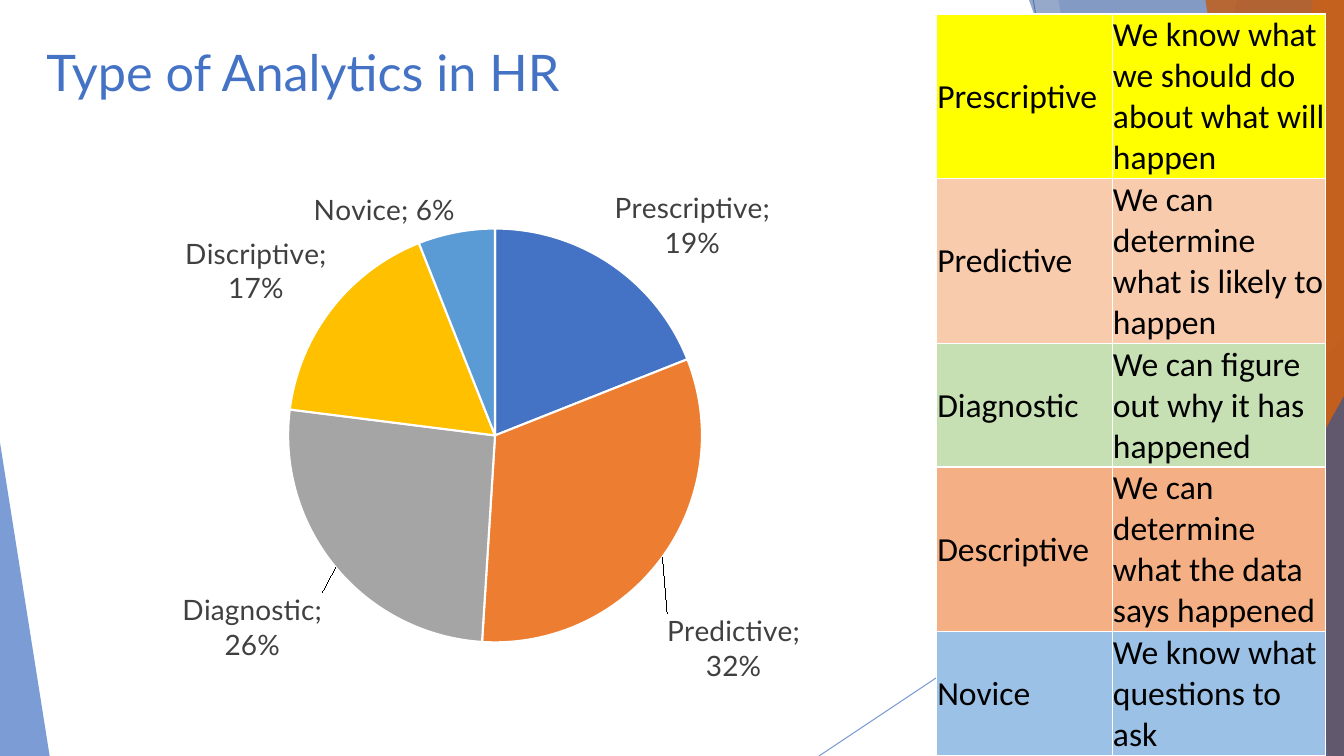
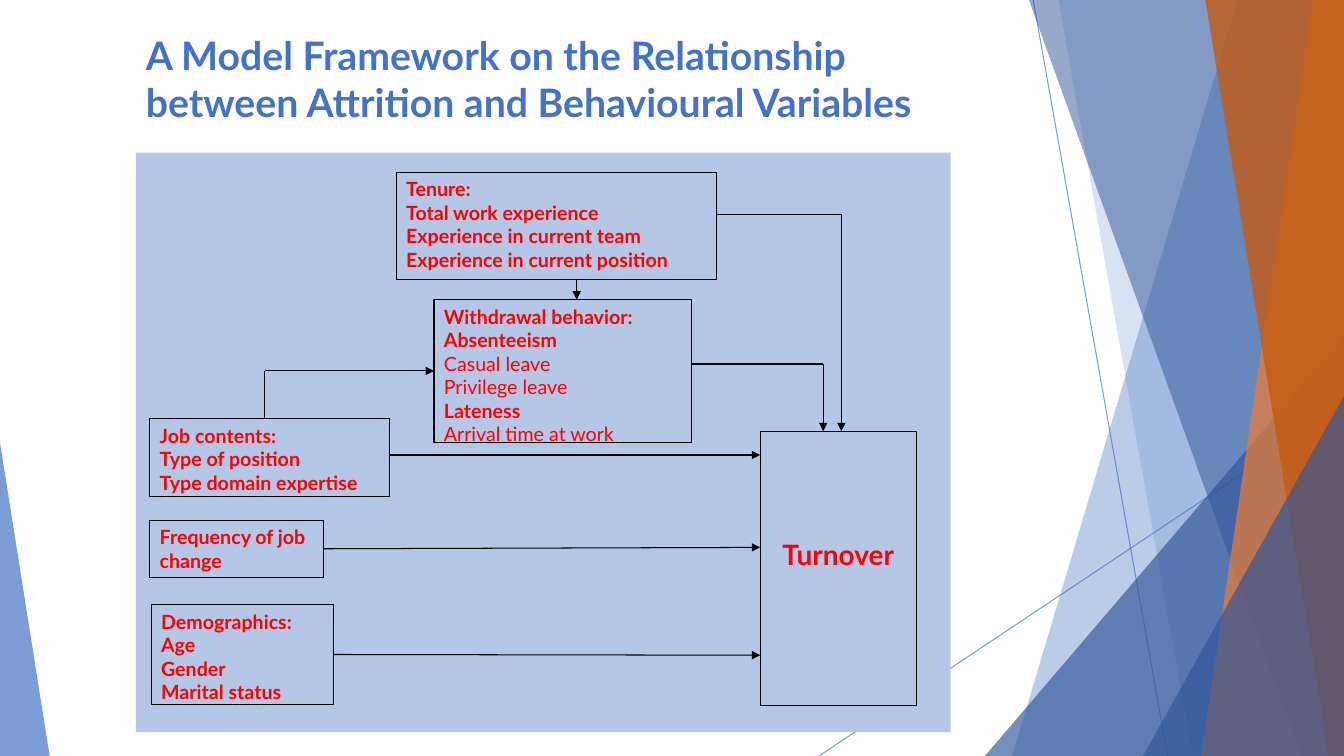
from dataclasses import dataclass
from typing import Optional, Union

import pptx
import pptx.chart.data
import pptx.dml.color
import pptx.enum.chart
import pptx.enum.shapes
import pptx.enum.text
import pptx.oxml
import pptx.oxml.ns
import pptx.util

Pt = pptx.util.Pt
qn = pptx.oxml.ns.qn
SHAPE = pptx.enum.shapes.MSO_SHAPE
ANCHOR = pptx.enum.text.MSO_ANCHOR
ALIGN = pptx.enum.text.PP_ALIGN
LABEL_POS = pptx.enum.chart.XL_LABEL_POSITION

WIDTH, HEIGHT = 960, 540
BLUE, NAVY, ORANGE, RUST = "4472C4", "2F5597", "ED7D31", "C55A11"
PANEL, RED, BLACK, WHITE, GREY = "B4C7E7", "FF0000", "000000", "FFFFFF", "404040"
FONT = "Lato"


@dataclass(frozen=True)
class Band:
    """Area from a slanted left edge to the right side of the slide."""
    top_x: float
    bottom_x: float
    color: str
    alpha: int


@dataclass(frozen=True)
class Wedge:
    """Right-angled triangle standing on the bottom of the slide."""
    x: float
    y: float
    w: float
    peak: float
    color: str
    alpha: int


@dataclass(frozen=True)
class Box:
    x: float
    y: float
    w: float
    h: float
    lines: tuple[str, ...]
    plain: tuple[str, ...] = ()


@dataclass(frozen=True)
class Route:
    """Arrow through points; begin and end name a box and its side."""
    points: tuple[tuple[float, float], ...]
    begin: Optional[tuple[str, int]] = None
    end: Optional[tuple[str, int]] = None


@dataclass(frozen=True)
class Level:
    name: str
    meaning: str
    fill: str
    height: float


RAYS = (((738, 0), (834, 540)), ((960, 290), (585, 540)))
FACETS: tuple[Union[Band, Wedge], ...] = (
    Band(884, 723, BLUE, 36),
    Band(756, 852, BLUE, 20),
    Wedge(703.5, 240, 256.5, 1, NAVY, 66),
    Band(735, 929.5, NAVY, 50),
    Band(938, 858, ORANGE, 70),
    Band(861, 949, RUST, 80),
    Wedge(816.5, 283, 143.5, 1, NAVY, 66),
    Wedge(0, 316, 35.5, 0, BLUE, 70),
)

SHARES = (
    ("Prescriptive", 0.19, BLUE),
    ("Predictive", 0.32, ORANGE),
    ("Diagnostic", 0.26, "A5A5A5"),
    ("Discriptive", 0.17, "FFC000"),
    ("Novice", 0.06, "5B9BD5"),
)
LABEL_SHIFTS = {1: (0, 0.1), 2: (-0.01, 0.04)}
LEVELS = (
    Level("Prescriptive", "We know what we should do about what will happen", "FFFF00", 111),
    Level("Predictive", "We can determine what is likely to happen", "F8CBAD", 111),
    Level("Diagnostic", "We can figure out why it has happened", "C6E0B4", 80),
    Level("Descriptive", "We can determine what the data says happened", "F4B084", 111),
    Level("Novice", "We know what questions to ask", "9BC2E6", 61),
)

BOXES = {
    "tenure": Box(283, 123, 229, 76.5, (
        "Tenure:", "Total work experience", "Experience in current team",
        "Experience in current position")),
    "withdrawal": Box(310, 214, 184, 102, (
        "Withdrawal behavior:", "Absenteeism", "Casual leave", "Privilege leave",
        "Lateness", "Arrival time at work"),
        plain=("Casual leave", "Privilege leave", "Arrival time at work")),
    "job": Box(107, 299, 171, 56, (
        "Job contents:", "Type of position", "Type domain expertise")),
    "frequency": Box(107, 371.5, 124, 41, ("Frequency of job change",)),
    "demographics": Box(108, 432, 130.5, 71, (
        "Demographics:", "Age", "Gender", "Marital status")),
    "turnover": Box(543, 308, 111.5, 196, ("Turnover",)),
}
ROUTES = (
    Route(((278, 325), (543, 325))),
    Route(((231, 392), (543, 391)), begin=("frequency", 3)),
    Route(((238.5, 467.5), (543, 468)), begin=("demographics", 3)),
    Route(((189, 299), (189, 265), (310, 265)), end=("withdrawal", 1)),
    Route(((512, 153), (601, 153), (601, 308))),
    Route(((494, 260), (588, 260), (588, 308))),
    Route(((412, 199.5), (412, 214))),
)


def rgb(color: str) -> pptx.dml.color.RGBColor:
    return pptx.dml.color.RGBColor.from_string(color)


def set_font(font, size: float, color: str, bold: bool = False, name: str = FONT) -> None:
    font.name, font.size, font.bold = name, Pt(size), bold
    font.color.rgb = rgb(color)


def set_alpha(sp, percent: int) -> None:
    for clr in sp.element.spPr.iter(qn("a:srgbClr")):
        pptx.oxml.ns  # namespace helpers stay module-qualified
        clr.append(make_element("a:alpha", val=str(percent * 1000)))


def make_element(tag: str, **attributes: str):
    prefix = tag.split(":")[0]
    el = pptx.oxml.parse_xml(f"<{tag} {pptx.oxml.ns.nsdecls(prefix)}/>")
    for key, value in attributes.items():
        el.set(key, value)
    return el


def paint(sp, fill: str, line: Optional[str] = None) -> None:
    sp.shadow.inherit = False
    sp.fill.solid()
    sp.fill.fore_color.rgb = rgb(fill)
    if line:
        sp.line.color.rgb = rgb(line)
        sp.line.width = Pt(0.75)
    else:
        sp.line.fill.background()


def add_line(shapes, start: tuple, stop: tuple, color: str, arrow: bool = False):
    cx = shapes.add_connector(pptx.enum.shapes.MSO_CONNECTOR.STRAIGHT,
                              *(Pt(v) for v in (*start, *stop)))
    cx.line.color.rgb = rgb(color)
    cx.line.width = Pt(0.75)
    if arrow:
        cx.line._get_or_add_ln().append(make_element("a:tailEnd", type="triangle"))
    cx.element.spPr.append(make_element("a:effectLst"))
    return cx


def add_facet(shapes, facet: Union[Band, Wedge]) -> None:
    if isinstance(facet, Band):
        fb = shapes.build_freeform(Pt(facet.top_x), 0)
        fb.add_line_segments([(Pt(WIDTH), 0), (Pt(WIDTH), Pt(HEIGHT)),
                              (Pt(facet.bottom_x), Pt(HEIGHT))], close=True)
        sp = fb.convert_to_shape()
    else:
        sp = shapes.add_shape(SHAPE.ISOSCELES_TRIANGLE, Pt(facet.x), Pt(facet.y),
                              Pt(facet.w), Pt(HEIGHT - facet.y))
        sp.adjustments[0] = facet.peak
    paint(sp, facet.color)
    set_alpha(sp, facet.alpha)


def move_backdrop_to_layout(s) -> None:
    """Draw the shared backdrop on a slide, then hand it to the slide's layout."""
    group = s.shapes.add_group_shape()
    for start, stop in RAYS:
        set_alpha(add_line(group.shapes, start, stop, BLUE), 70)
    for facet in FACETS:
        add_facet(group.shapes, facet)
    for number, props in enumerate(group.element.iter(qn("p:cNvPr")), start=100):
        props.set("id", str(number))
    s.slide_layout.shapes.element.insert(2, group.element)


def set_title(s, text: str, x: float, y: float, h: float, size: float, bold: bool) -> None:
    sp = s.shapes.title
    sp.left, sp.top, sp.width, sp.height = Pt(x), Pt(y), Pt(612), Pt(h)
    tf = sp.text_frame
    tf.text = text
    tf.word_wrap = True
    tf.auto_size = pptx.enum.text.MSO_AUTO_SIZE.NONE
    tf.vertical_anchor = ANCHOR.TOP
    p = tf.paragraphs[0]
    p.alignment = ALIGN.LEFT
    set_font(p.font, size, BLUE, bold)


def add_pie(s) -> None:
    data = pptx.chart.data.CategoryChartData(number_format="0%")
    data.categories = [name for name, _, _ in SHARES]
    data.add_series("Series 1", [value for _, value, _ in SHARES])
    chart = s.shapes.add_chart(pptx.enum.chart.XL_CHART_TYPE.PIE, Pt(36), Pt(114),
                               Pt(629), Pt(379), data).chart
    chart.has_title = chart.has_legend = False
    set_font(chart.font, 10, BLACK)
    plot = chart.plots[0]
    plot.vary_by_categories = True
    series = plot.series[0]
    for i, (_, _, color) in enumerate(SHARES):
        fmt = series.points[i].format
        fmt.fill.solid()
        fmt.fill.fore_color.rgb = rgb(color)
        fmt.line.color.rgb = rgb(WHITE)
        fmt.line.width = Pt(1.5)

    labels = series.data_labels
    labels.show_value = labels.show_category_name = True
    labels.number_format, labels.number_format_is_linked = "0%", False
    labels.position = LABEL_POS.OUTSIDE_END
    set_font(labels.font, 20, GREY)
    for i, (dx, dy) in LABEL_SHIFTS.items():
        label = series.points[i].data_label
        set_font(label.font, 20, GREY)
        label.position = LABEL_POS.OUTSIDE_END
        d_lbl = next(el for el in series.data_labels._element.findall(qn("c:dLbl"))
                     if el.find(qn("c:idx")).get("val") == str(i))
        d_lbl.find(qn("c:showCatName")).set("val", "1")
        d_lbl.insert(1, manual_layout(x=dx, y=dy))
        d_lbl.insert(2, make_element("c:numFmt", formatCode="0%", sourceLinked="0"))

    area = chart.element.find(".//" + qn("c:plotArea"))
    for old in area.findall(qn("c:layout")):
        area.remove(old)
    area.insert(0, manual_layout(layoutTarget="inner", xMode="edge", yMode="edge",
                                 x=0.27, y=0.13, w=0.47, h=0.78))


def manual_layout(**settings: Union[str, float]):
    layout = make_element("c:layout")
    manual = make_element("c:manualLayout")
    layout.append(manual)
    for key, value in settings.items():
        manual.append(make_element(f"c:{key}", val=str(value)))
    return layout


def add_levels_table(s) -> None:
    table = s.shapes.add_table(len(LEVELS), 2, Pt(669), Pt(10), Pt(278),
                               Pt(sum(level.height for level in LEVELS))).table
    table.first_row = table.horz_banding = False
    table.columns[0].width, table.columns[1].width = Pt(125.5), Pt(152.5)
    for row, level in zip(table.rows, LEVELS):
        row.height = Pt(level.height)
        for cell, text, anchor in zip(row.cells, (level.name, level.meaning),
                                      (ANCHOR.MIDDLE, ANCHOR.BOTTOM)):
            cell.text = text
            cell.vertical_anchor = anchor
            cell.margin_left = cell.margin_right = cell.margin_top = Pt(0.5)
            cell.margin_bottom = 0
            cell.fill.solid()
            cell.fill.fore_color.rgb = rgb(level.fill)
            set_font(cell.text_frame.paragraphs[0].font, 24, BLACK, name="Calibri")


def add_box(s, box: Box):
    sp = s.shapes.add_shape(SHAPE.RECTANGLE, Pt(box.x), Pt(box.y), Pt(box.w), Pt(box.h))
    paint(sp, PANEL, BLACK)
    tf = sp.text_frame
    tf.word_wrap = True
    tf.vertical_anchor = ANCHOR.TOP
    tf.text = "\n".join(box.lines)
    for p in tf.paragraphs:
        p.alignment = ALIGN.LEFT
        set_font(p.font, 14, RED, p.text not in box.plain)
    return sp


def add_framework(s) -> None:
    panel = s.shapes.add_shape(SHAPE.RECTANGLE, Pt(97), Pt(109), Pt(582), Pt(414))
    paint(panel, PANEL)
    boxes = {key: add_box(s, box) for key, box in BOXES.items()}
    tf = boxes["turnover"].text_frame
    tf.vertical_anchor, tf.margin_bottom = ANCHOR.MIDDLE, Pt(24)
    tf.paragraphs[0].alignment = ALIGN.CENTER
    tf.paragraphs[0].font.size = Pt(20)
    for route in ROUTES:
        last = len(route.points) - 2
        legs = [add_line(s.shapes, start, stop, BLACK, arrow=i == last)
                for i, (start, stop) in enumerate(zip(route.points, route.points[1:]))]
        if route.begin:
            legs[0].begin_connect(boxes[route.begin[0]], route.begin[1])
        if route.end:
            legs[-1].end_connect(boxes[route.end[0]], route.end[1])


def main() -> None:
    prs = pptx.Presentation()
    prs.slide_width, prs.slide_height = Pt(WIDTH), Pt(HEIGHT)
    title_only = prs.slide_layouts[5]

    s = prs.slides.add_slide(title_only)
    move_backdrop_to_layout(s)
    set_title(s, "Type of Analytics in HR", 26, 26, 76, 36, False)
    add_pie(s)
    add_levels_table(s)

    s = prs.slides.add_slide(title_only)
    set_title(s, "A Model Framework on the Relationship between Attrition and "
              "Behavioural Variables", 97, 19, 90, 28, True)
    add_framework(s)
    prs.save("out.pptx")


if __name__ == "__main__":
    main()
